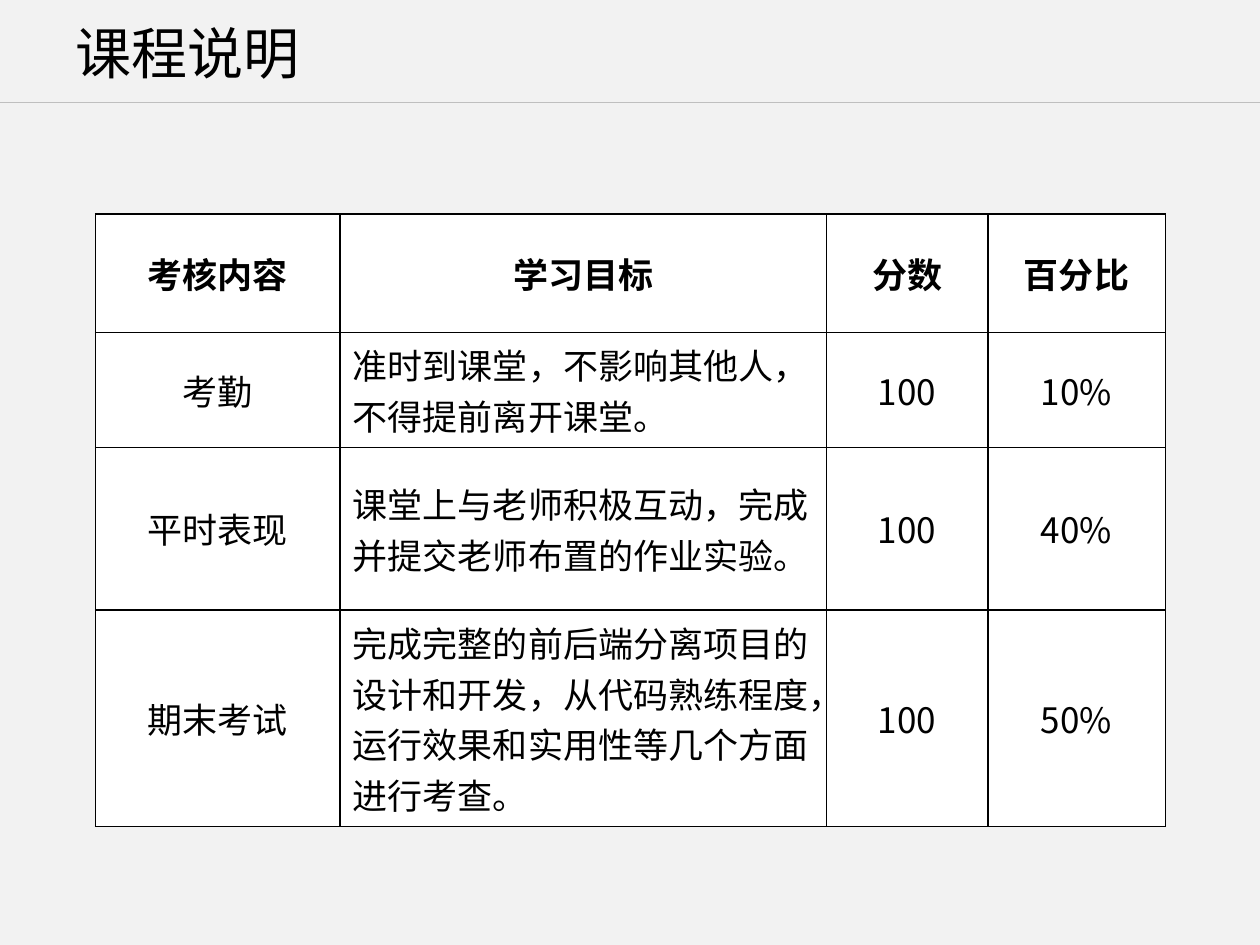
from typing import NamedTuple

from lxml.etree import SubElement
from pptx import Presentation
from pptx.dml.color import RGBColor
from pptx.enum.shapes import MSO_CONNECTOR
from pptx.enum.text import MSO_ANCHOR, PP_ALIGN
from pptx.oxml.ns import qn
from pptx.util import Inches, Pt

FONT = "Noto Sans CJK SC"
BLACK = "000000"
WHITE = "FFFFFF"
COLUMN_WIDTHS = (1.94, 3.86, 1.28, 1.41)
ROW_HEIGHTS = (0.94, 0.91, 1.29, 1.72)
GOAL_COLUMN = 1


class Assessment(NamedTuple):
    item: str
    goal: str
    score: str
    share: str


ASSESSMENTS = (
    Assessment("考核内容", "学习目标", "分数", "百分比"),
    Assessment("考勤", "准时到课堂，不影响其他人，不得提前离开课堂。", "100", "10%"),
    Assessment("平时表现", "课堂上与老师积极互动，完成并提交老师布置的作业实验。", "100", "40%"),
    Assessment(
        "期末考试",
        "完成完整的前后端分离项目的设计和开发，从代码熟练程度，运行效果和实用性等几个方面进行考查。",
        "100",
        "50%",
    ),
)


def color(value: str) -> RGBColor:
    return RGBColor.from_string(value)


def format_text(para, size: float, bold: bool = False) -> None:
    for span in para.runs:
        span.font.name = FONT
        span.font.size = Pt(size)
        span.font.bold = bold
        span.font.color.rgb = color(BLACK)
        SubElement(span.font._element, qn("a:ea"), typeface=FONT)


def add_borders(cell, width: float = 1) -> None:
    properties = cell._tc.get_or_add_tcPr()
    for side in ("lnL", "lnR", "lnT", "lnB"):
        line = SubElement(properties, qn(f"a:{side}"), w=str(Pt(width)))
        fill = SubElement(line, qn("a:solidFill"))
        SubElement(fill, qn("a:srgbClr"), val=BLACK)


def add_title(page, text: str) -> None:
    box = page.shapes.add_textbox(Inches(0.5), Inches(0.14), Inches(5.03), Inches(0.62))
    frame = box.text_frame
    frame.word_wrap = True
    frame.vertical_anchor = MSO_ANCHOR.MIDDLE
    frame.text = text
    para = frame.paragraphs[0]
    para.line_spacing = 0.9
    format_text(para, 32)


def add_divider(page) -> None:
    divider = page.shapes.add_connector(
        MSO_CONNECTOR.STRAIGHT, Inches(0), Inches(0.81), Inches(10), Inches(0.81)
    )
    divider.line.color.rgb = color("BFBFBF")
    divider.line.width = Pt(0.5)
    SubElement(divider._element.spPr, qn("a:effectLst"))


def add_assessment_table(page) -> None:
    table = page.shapes.add_table(
        len(ROW_HEIGHTS), len(COLUMN_WIDTHS), Inches(0.76), Inches(1.7),
        Inches(sum(COLUMN_WIDTHS)), Inches(sum(ROW_HEIGHTS)),
    ).table
    for column, width in zip(table.columns, COLUMN_WIDTHS):
        column.width = Inches(width)
    for row, height in zip(table.rows, ROW_HEIGHTS):
        row.height = Inches(height)
    for row_index, assessment in enumerate(ASSESSMENTS):
        is_header = row_index == 0
        for column_index, text in enumerate(assessment):
            cell = table.cell(row_index, column_index)
            add_borders(cell)
            cell.fill.solid()
            cell.fill.fore_color.rgb = color(WHITE)
            cell.vertical_anchor = MSO_ANCHOR.MIDDLE
            cell.text_frame.text = text
            para = cell.text_frame.paragraphs[0]
            is_goal = column_index == GOAL_COLUMN and not is_header
            para.alignment = PP_ALIGN.LEFT if is_goal else PP_ALIGN.CENTER
            format_text(para, 20, bold=is_header)


def main() -> None:
    deck = Presentation()
    deck.slide_width = Inches(10)
    deck.slide_height = Inches(7.5)
    page = deck.slides.add_slide(deck.slide_layouts[6])
    page.background.fill.solid()
    page.background.fill.fore_color.rgb = color("F2F2F2")
    add_divider(page)
    add_title(page, "课程说明")
    add_assessment_table(page)
    deck.save("out.pptx")


if __name__ == "__main__":
    main()
